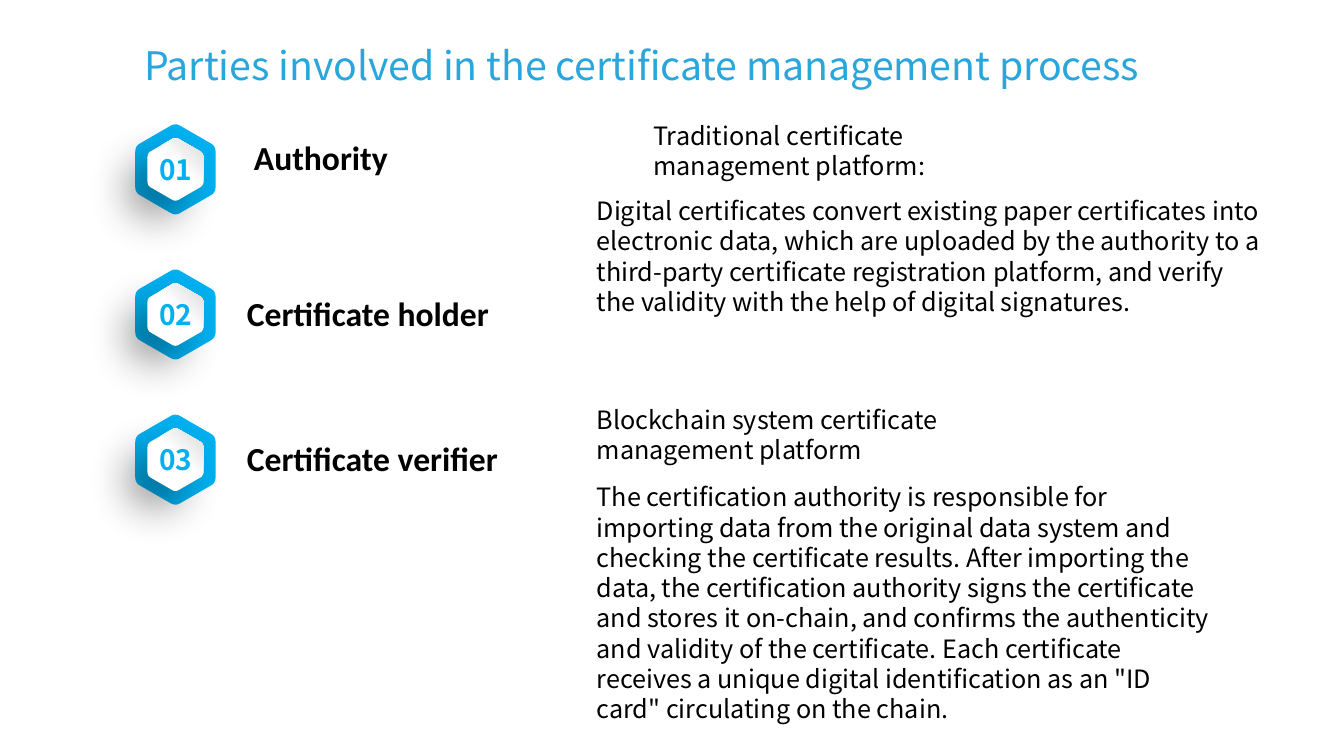
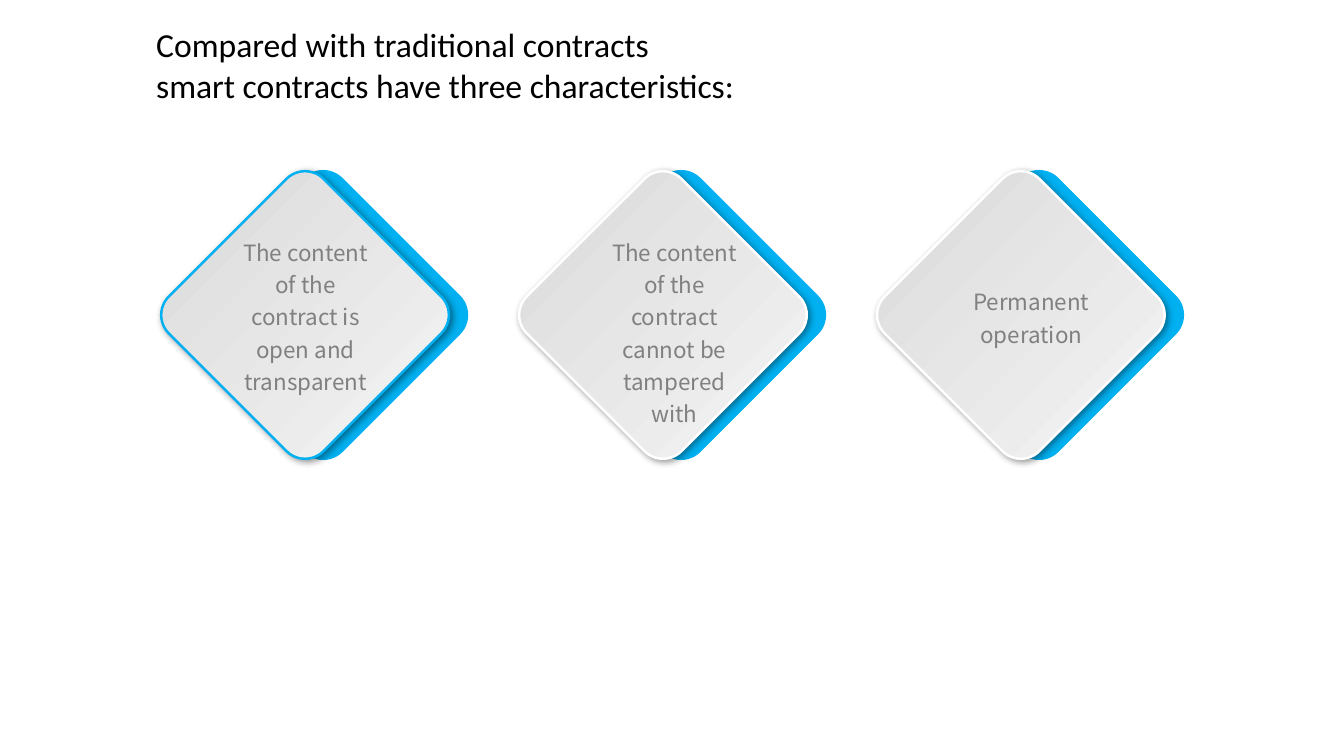
import math
from dataclasses import dataclass

from lxml import etree
from pptx import Presentation
from pptx import util as u
from pptx.dml.color import RGBColor
from pptx.enum import shapes, text
from pptx.oxml.ns import qn

BLUE = RGBColor(0x00, 0xB0, 0xF0)
TITLE_BLUE = RGBColor(0x29, 0xA6, 0xDC)
BLACK = RGBColor(0x00, 0x00, 0x00)
GREY = RGBColor(0x80, 0x80, 0x80)
SILVER = RGBColor(0xD9, 0xD9, 0xD9)
PALE = RGBColor(0xF5, 0xF5, 0xF5)
WHITE = RGBColor(0xFF, 0xFF, 0xFF)
LATIN = "Calibri"
SANS = "Noto Sans CJK SC"


@dataclass(frozen=True)
class Style:
    size: float
    font: str = SANS
    color: RGBColor = BLACK
    bold: bool = False
    centred: bool = False
    spacing: float = 1.0


@dataclass(frozen=True)
class Block:
    left: float
    top: float
    width: float
    height: float
    words: str


@dataclass(frozen=True)
class Shadow:
    blur: float
    distance: float
    angle: int


@dataclass(frozen=True)
class Gradient:
    start: RGBColor
    end: RGBColor
    angle: float = 0
    start_at: float = 0


@dataclass(frozen=True)
class Diamond:
    border: RGBColor
    label: Block


TITLE = Style(28, color=TITLE_BLUE)
HEADING = Style(24, LATIN)
PARTY = Style(24, LATIN, bold=True)
NUMBER = Style(20, color=BLUE, bold=True, centred=True)
BODY = Style(18)
FEATURE = Style(16, color=GREY, centred=True, spacing=1.2)

BADGE_SHADOW = Shadow(30, 20, 135)
BADGE_FILL = Gradient(WHITE, SILVER, angle=45, start_at=0.55)
DIAMOND_SHADOW = Shadow(5, 2, 45)
DIAMOND_FILL = Gradient(SILVER, PALE)

BADGE_X, BADGE_Y, BADGE_PITCH = 1.74, 1.68, 1.44
OUTER_RADIUS, INNER_RADIUS = 0.46, 0.32
CORNER_CUT, CORNER_STEPS = 0.12, 6
DIAMOND_X, DIAMOND_Y, DIAMOND_SIDE = 1.94, 2.04, 2.17
DIAMOND_PITCH, DIAMOND_OFFSET = 3.55, 0.18

PARTIES = [
    Block(2.42, 1.31, 1.71, 0.5, "Authority"),
    Block(2.35, 2.86, 2.72, 0.5, "Certificate holder"),
    Block(2.35, 4.3, 3.01, 0.5, "Certificate verifier"),
]
PLATFORMS = [
    Block(6.38, 1.14, 3.19, 0.71, "Traditional certificate management platform:"),
    Block(5.82, 1.89, 6.82, 2.22,
          "Digital certificates convert existing paper certificates into electronic "
          "data, which are uploaded by the authority to a third-party certificate "
          "registration platform, and verify the validity with the help of digital "
          "signatures."),
    Block(5.82, 3.96, 4.39, 0.71, "Blockchain system certificate management platform"),
    Block(5.82, 4.73, 6.36, 2.52,
          "The certification authority is responsible for importing data from the "
          "original data system and checking the certificate results. After importing "
          "the data, the certification authority signs the certificate and stores it "
          "on-chain, and confirms the authenticity and validity of the certificate. "
          "Each certificate receives a unique digital identification as an \"ID card\" "
          "circulating on the chain."),
]
DIAMONDS = [
    Diamond(BLUE, Block(2.2, 2.27, 1.66, 1.71,
                        "The content of the contract is open and transparent")),
    Diamond(WHITE, Block(5.86, 2.27, 1.66, 2.04,
                         "The content of the contract cannot be tampered with")),
    Diamond(WHITE, Block(9.4, 2.76, 1.66, 0.75, "Permanent operation")),
]


def add_text(s, block: Block, style: Style, middle: bool = False) -> None:
    sp = s.shapes.add_textbox(u.Inches(block.left), u.Inches(block.top),
                              u.Inches(block.width), u.Inches(block.height))
    tf = sp.text_frame
    tf.word_wrap = True
    if middle:
        tf.vertical_anchor = text.MSO_ANCHOR.MIDDLE
    tf.text = block.words
    for p in tf.paragraphs:
        p.alignment = text.PP_ALIGN.CENTER if style.centred else text.PP_ALIGN.LEFT
        p.line_spacing = style.spacing
        for r in p.runs:
            r.font.name = style.font
            r.font.size = u.Pt(style.size)
            r.font.bold = style.bold
            r.font.color.rgb = style.color
            ea = etree.SubElement(r.font._element, qn("a:ea"))
            ea.set("typeface", style.font)


def fill_gradient(sp, gradient: Gradient) -> None:
    sp.fill.gradient()
    sp.fill.gradient_angle = gradient.angle
    first, last = sp.fill.gradient_stops
    first.color.rgb, first.position = gradient.start, gradient.start_at
    last.color.rgb, last.position = gradient.end, 1


def fill_solid(sp, color: RGBColor) -> None:
    sp.fill.solid()
    sp.fill.fore_color.rgb = color


def add_shadow(sp, shadow: Shadow) -> None:
    effects = sp._element.spPr.find(qn("a:effectLst"))
    outer = etree.SubElement(effects, qn("a:outerShdw"), {
        "blurRad": str(u.Pt(shadow.blur)), "dist": str(u.Pt(shadow.distance)),
        "dir": str(shadow.angle * 60000), "algn": "ctr", "rotWithShape": "0"})
    color = etree.SubElement(outer, qn("a:srgbClr"), val="000000")
    etree.SubElement(color, qn("a:alpha"), val="40000")


def hexagon_points(cx: float, cy: float, radius: float) -> list[tuple[int, int]]:
    corners = [(cx + radius * math.sin(math.radians(a)),
                cy - radius * math.cos(math.radians(a))) for a in range(0, 360, 60)]
    points = []
    for i, corner in enumerate(corners):
        before, after = corners[i - 1], corners[(i + 1) % 6]
        for step in range(CORNER_STEPS + 1):
            t = step / CORNER_STEPS
            x, y = (c + CORNER_CUT * ((1 - t) ** 2 * (b - c) + t ** 2 * (a - c))
                    for b, c, a in zip(before, corner, after))
            points.append((u.Inches(x), u.Inches(y)))
    return points


def add_hexagon(s, cx: float, cy: float, radius: float):
    points = hexagon_points(cx, cy, radius)
    builder = s.shapes.build_freeform(*points[0])
    builder.add_line_segments(points[1:], close=True)
    sp = builder.convert_to_shape()
    sp.shadow.inherit = False
    sp.line.fill.background()
    return sp


def add_badge(s, index: int) -> None:
    cy = BADGE_Y + index * BADGE_PITCH
    fill_solid(add_hexagon(s, BADGE_X, cy, OUTER_RADIUS), BLUE)
    inner = add_hexagon(s, BADGE_X, cy, INNER_RADIUS)
    fill_gradient(inner, BADGE_FILL)
    add_shadow(inner, BADGE_SHADOW)
    number = Block(BADGE_X - 0.36, cy - 0.18, 0.73, 0.35, f"{index + 1:02}")
    add_text(s, number, NUMBER, middle=True)


def add_rhombus(s, left: float, border: RGBColor):
    sp = s.shapes.add_shape(shapes.MSO_SHAPE.ROUNDED_RECTANGLE,
                            u.Inches(left), u.Inches(DIAMOND_Y),
                            u.Inches(DIAMOND_SIDE), u.Inches(DIAMOND_SIDE))
    sp.adjustments[0] = 0.12
    sp.rotation = 45
    sp.shadow.inherit = False
    sp.line.color.rgb = border
    sp.line.width = u.Pt(1.75)
    return sp


def add_diamond(s, index: int, diamond: Diamond) -> None:
    left = DIAMOND_X + index * DIAMOND_PITCH
    fill_solid(add_rhombus(s, left + DIAMOND_OFFSET, BLUE), BLUE)
    front = add_rhombus(s, left, diamond.border)
    fill_gradient(front, DIAMOND_FILL)
    add_shadow(front, DIAMOND_SHADOW)
    add_text(s, diamond.label, FEATURE)


def build_parties(s) -> None:
    add_text(s, Block(1.33, 0.36, 10.38, 0.57,
                      "Parties involved in the certificate management process"), TITLE)
    for i, party in enumerate(PARTIES):
        add_badge(s, i)
        add_text(s, party, PARTY)
    for block in PLATFORMS:
        add_text(s, block, BODY)


def build_contracts(s) -> None:
    add_text(s, Block(1.45, 0.19, 11.35, 0.89,
                      "Compared with traditional contracts\n"
                      "smart contracts have three characteristics:"), HEADING)
    for i, diamond in enumerate(DIAMONDS):
        add_diamond(s, i, diamond)


def main() -> None:
    prs = Presentation()
    prs.slide_width, prs.slide_height = u.Inches(13.33), u.Inches(7.5)
    for build in (build_parties, build_contracts):
        build(prs.slides.add_slide(prs.slide_layouts[6]))
    prs.save("out.pptx")


if __name__ == "__main__":
    main()
